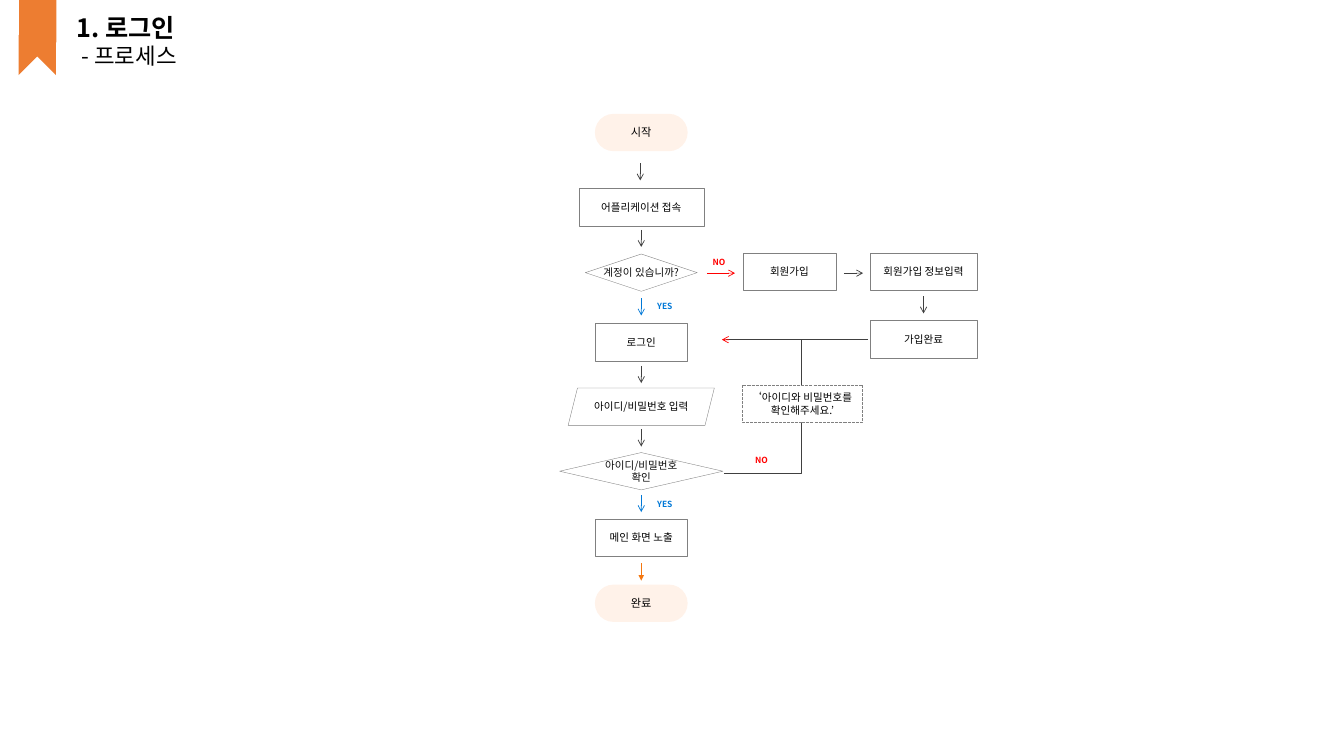
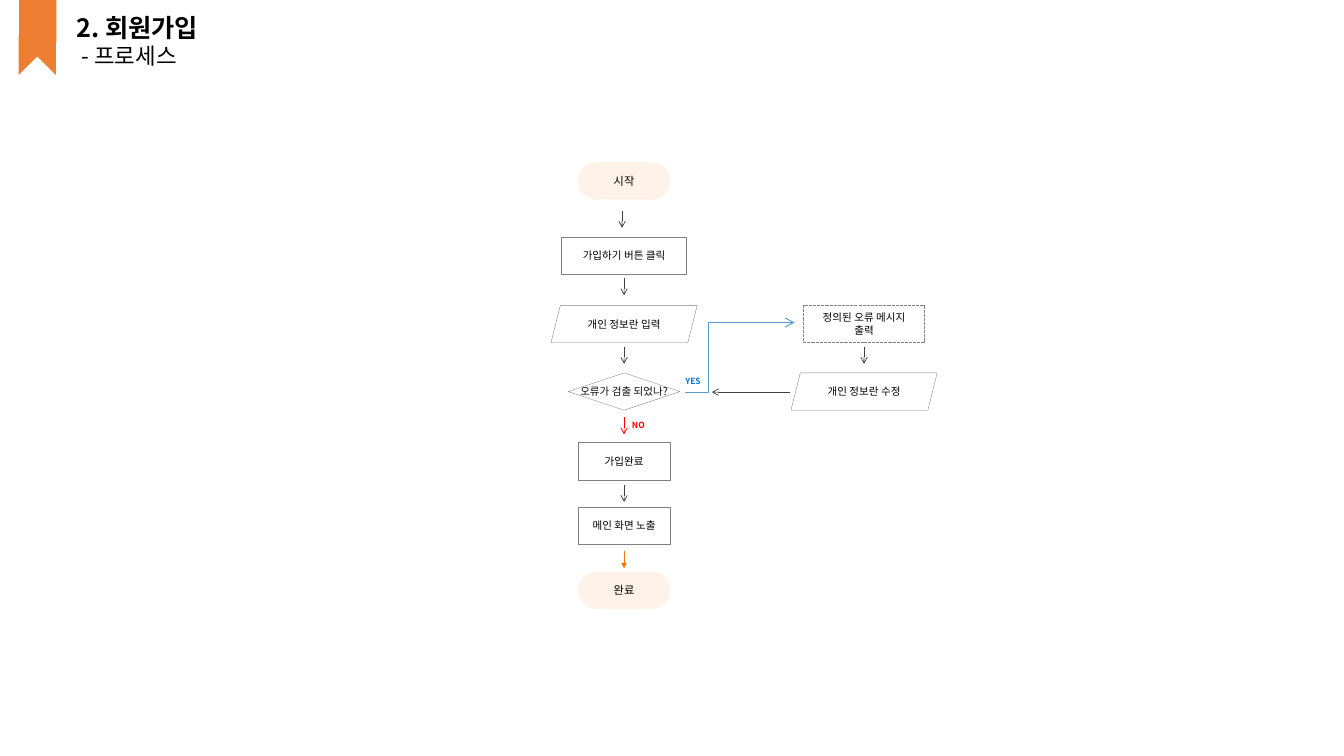
from dataclasses import dataclass

from lxml import etree
from pptx import Presentation
from pptx.dml.color import RGBColor
from pptx.enum import dml, shapes, text
from pptx.oxml.ns import qn
from pptx.util import Inches, Pt

# Shared look
FONT = "Noto Sans CJK KR"
BLACK, INK, DARK, GREY, WHITE = "000000", "0D0D0D", "404040", "808080", "FFFFFF"
RED, BLUE, SKY = "FF0000", "0078D7", "5B9BD5"
RIBBON, HEAD_ORANGE, CREAM = "ED7D31", "F47710", "FFF2E9"
NODE_H = 0.37
DROP = 0.17
MSO = shapes.MSO_SHAPE


@dataclass(frozen=True)
class Kind:
    preset: shapes.MSO_SHAPE
    width: float
    fill: str = WHITE
    line: float = 0.25
    size: float = 7.5
    color: str = BLACK
    dashed: bool = False
    inset: bool = False


TERMINAL = Kind(MSO.ROUNDED_RECTANGLE, 0.92, CREAM, line=0, size=8, inset=True)
STEP = Kind(MSO.RECTANGLE, 0.92)
ENTRY = Kind(MSO.RECTANGLE, 1.24)
FORM = Kind(MSO.RECTANGLE, 1.06)
INPUT = Kind(MSO.PARALLELOGRAM, 1.45)
CHOICE = Kind(MSO.FLOWCHART_DECISION, 1.11, color=INK, inset=True)
WIDE_CHOICE = Kind(MSO.FLOWCHART_DECISION, 1.62, color=INK, inset=True)
MESSAGE = Kind(MSO.RECTANGLE, 1.2, line=0.75, dashed=True)


@dataclass(frozen=True)
class Node:
    kind: Kind
    cx: float
    top: float
    lines: tuple[str, ...]
    quote: str = ""


@dataclass(frozen=True)
class Arrow:
    x1: float
    y1: float
    x2: float
    y2: float
    color: str = DARK
    head: str = "arrow"
    bend_x: float | None = None
    width: float = 0.5
    head_size: str = "sm"


@dataclass(frozen=True)
class Label:
    left: float
    top: float
    text: str
    color: str


@dataclass(frozen=True)
class Flow:
    title: str
    nodes: list[Node]
    arrows: list[Arrow]
    labels: list[Label]


def rgb(color: str) -> RGBColor:
    return RGBColor.from_string(color)


def add_run(p, words: str, size: float, color: str, bold: bool = False) -> None:
    r = p.add_run()
    r.text = words
    r.font.size, r.font.bold = Pt(size), bold
    r.font.color.rgb = rgb(color)
    r.font.name = FONT
    ea = etree.SubElement(r._r.get_or_add_rPr(), qn("a:ea"))
    ea.set("typeface", FONT)


def next_paragraph(tf, index: int):
    return tf.add_paragraph() if index else tf.paragraphs[0]


def add_plain(s, preset, left: float, top: float, width: float, height: float, fill: str):
    sp = s.shapes.add_shape(preset, Inches(left), Inches(top), Inches(width), Inches(height))
    sp.shadow.inherit = False
    sp.fill.solid()
    sp.fill.fore_color.rgb = rgb(fill)
    sp.line.fill.background()
    return sp


def add_node(s, node: Node) -> None:
    k = node.kind
    sp = add_plain(s, k.preset, node.cx - k.width / 2, node.top, k.width, NODE_H, k.fill)
    if k is TERMINAL:
        sp.adjustments[0] = 0.5
    if k.line:
        sp.line.color.rgb = rgb(GREY)
        sp.line.width = Pt(k.line)
    if k.dashed:
        sp.line.dash_style = dml.MSO_LINE.SQUARE_DOT
    tf = sp.text_frame
    tf.word_wrap = False
    tf.vertical_anchor = text.MSO_ANCHOR.MIDDLE
    if not k.inset:
        tf.margin_left = tf.margin_right = tf.margin_top = tf.margin_bottom = 0
    for i, line in enumerate(node.lines):
        p = next_paragraph(tf, i)
        p.alignment = text.PP_ALIGN.CENTER
        if node.quote and i == 0:
            add_run(p, node.quote, 8, k.color)
        add_run(p, line, k.size, k.color)


def add_arrow(s, a: Arrow) -> None:
    bent = a.bend_x is not None
    kind = shapes.MSO_CONNECTOR.ELBOW if bent else shapes.MSO_CONNECTOR.STRAIGHT
    c = s.shapes.add_connector(kind, Inches(a.x1), Inches(a.y1), Inches(a.x2), Inches(a.y2))
    c.line.color.rgb = rgb(a.color)
    c.line.width = Pt(a.width)
    props = c._element.spPr
    if bent:
        ratio = (a.bend_x - a.x1) / (a.x2 - a.x1)
        guide = etree.SubElement(props.find(qn("a:prstGeom")).find(qn("a:avLst")), qn("a:gd"))
        guide.set("name", "adj1")
        guide.set("fmla", f"val {round(ratio * 100000)}")
    if a.head:
        end = etree.SubElement(c.line._get_or_add_ln(), qn("a:tailEnd"))
        end.set("type", a.head)
        end.set("w", a.head_size)
        end.set("len", a.head_size)
    etree.SubElement(props, qn("a:effectLst"))


def add_label(s, label: Label) -> None:
    # Wide enough to keep the word on one line
    sp = s.shapes.add_textbox(Inches(label.left), Inches(label.top), Inches(0.6), Inches(0.2))
    tf = sp.text_frame
    tf.word_wrap = True
    add_run(tf.paragraphs[0], label.text, 6, label.color, bold=True)


def add_header(s, title: str) -> None:
    # Title and subtitle
    sp = s.shapes.title
    sp.left, sp.top, sp.width, sp.height = (Inches(v) for v in (0.66, 0.07, 1.81, 0.67))
    tf = sp.text_frame
    tf.word_wrap = True
    tf.auto_size = text.MSO_AUTO_SIZE.SHAPE_TO_FIT_TEXT
    tf.vertical_anchor = text.MSO_ANCHOR.TOP
    for i, (words, size) in enumerate(((title, 18), (" - 프로세스", 16))):
        p = next_paragraph(tf, i)
        p.alignment = text.PP_ALIGN.LEFT
        add_run(p, words, size, BLACK, bold=i == 0)
    # Ribbon with a notched end
    add_plain(s, MSO.CHEVRON, 0.08, 0.27, 0.58, 0.37, RIBBON).rotation = 270
    add_plain(s, MSO.RECTANGLE, 0.19, 0, 0.37, 0.42, RIBBON)


def down(x: float, top: float, color: str = DARK, head: str = "arrow") -> Arrow:
    return Arrow(x, top, x, top + DROP, color, head)


def login_flow() -> Flow:
    main, form = 6.36, 9.16
    return Flow(
        "1. 로그인",
        [
            Node(TERMINAL, main, 1.13, ("시작",)),
            Node(ENTRY, main, 1.87, ("어플리케이션 접속",)),
            Node(CHOICE, main, 2.52, ("계정이 있습니까?",)),
            Node(STEP, main, 3.21, ("로그인",)),
            Node(INPUT, main, 3.85, ("아이디/비밀번호 입력",)),
            Node(WIDE_CHOICE, main, 4.49, ("아이디/비밀번호", "확인")),
            Node(STEP, main, 5.15, ("메인 화면 노출",)),
            Node(TERMINAL, main, 5.8, ("완료",)),
            Node(STEP, 7.83, 2.51, ("회원가입",)),
            Node(FORM, form, 2.51, ("회원가입 정보입력",)),
            Node(FORM, form, 3.18, ("가입완료",)),
            Node(MESSAGE, 7.96, 3.82, ("아이디와 비밀번호를 ", "확인해주세요.’"), quote="‘"),
        ],
        [
            down(6.35, 1.62),
            *(down(main, top) for top in (2.28, 3.63, 4.26)),
            *(down(main, top, BLUE) for top in (2.96, 4.91)),
            down(main, 5.59, HEAD_ORANGE, "triangle"),
            down(form, 2.94),
            Arrow(7.01, 2.71, 7.29, 2.71, RED),
            Arrow(8.37, 2.71, 8.56, 2.71),
            # Both returns to the login step end in one red head
            Arrow(8.61, 3.37, 7.2, 3.37, head=""),
            Arrow(7.18, 4.7, 7.2, 3.37, head="", bend_x=7.95),
            Arrow(7.22, 3.37, 7.16, 3.37, RED),
        ],
        [
            Label(6.97, 2.5, "NO", RED),
            Label(7.39, 4.47, "NO", RED),
            Label(6.42, 2.94, "YES", BLUE),
            Label(6.42, 4.9, "YES", BLUE),
        ],
    )


def signup_flow() -> Flow:
    main, repair = 6.19, 8.57
    return Flow(
        "2. 회원가입",
        [
            Node(TERMINAL, main, 1.61, ("시작",)),
            Node(ENTRY, main, 2.35, ("가입하기 버튼 클릭",)),
            Node(INPUT, main, 3.03, ("개인 정보란 입력",)),
            Node(CHOICE, main, 3.7, ("오류가 검출 되었나?",)),
            Node(STEP, main, 4.39, ("가입완료",)),
            Node(STEP, main, 5.03, ("메인 화면 노출",)),
            Node(TERMINAL, main, 5.67, ("완료",)),
            Node(MESSAGE, repair, 3.03, ("정의된 오류 메시지", "출력")),
            Node(INPUT, repair, 3.7, ("개인 정보란 수정",)),
        ],
        [
            down(6.17, 2.09),
            *(down(main, top) for top in (2.76, 3.44, 4.81)),
            down(main, 4.14, RED),
            down(main, 5.47, HEAD_ORANGE, "triangle"),
            down(repair, 3.44),
            Arrow(7.84, 3.89, 7.06, 3.89),
            Arrow(6.79, 3.89, 7.88, 3.2, SKY, bend_x=7.03, width=0.75, head_size="med"),
        ],
        [Label(6.17, 4.12, "NO", RED), Label(6.7, 3.68, "YES", BLUE)],
    )


def draw_flow(prs, flow: Flow) -> None:
    s = prs.slides.add_slide(prs.slide_layouts[5])
    add_header(s, flow.title)
    for arrow in flow.arrows:
        add_arrow(s, arrow)
    for node in flow.nodes:
        add_node(s, node)
    for label in flow.labels:
        add_label(s, label)


def main() -> None:
    prs = Presentation()
    prs.slide_width, prs.slide_height = Inches(13.33), Inches(7.5)
    for flow in (login_flow(), signup_flow()):
        draw_flow(prs, flow)
    prs.save("out.pptx")


if __name__ == "__main__":
    main()
